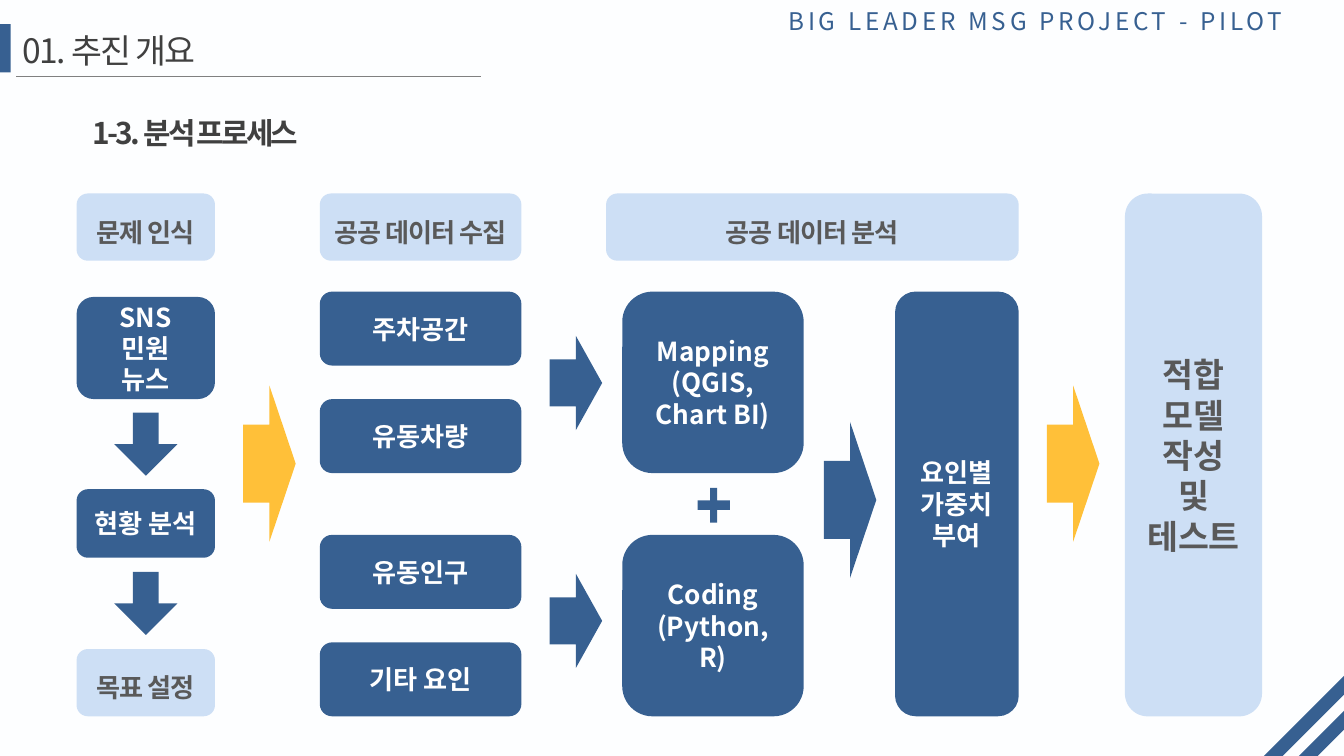
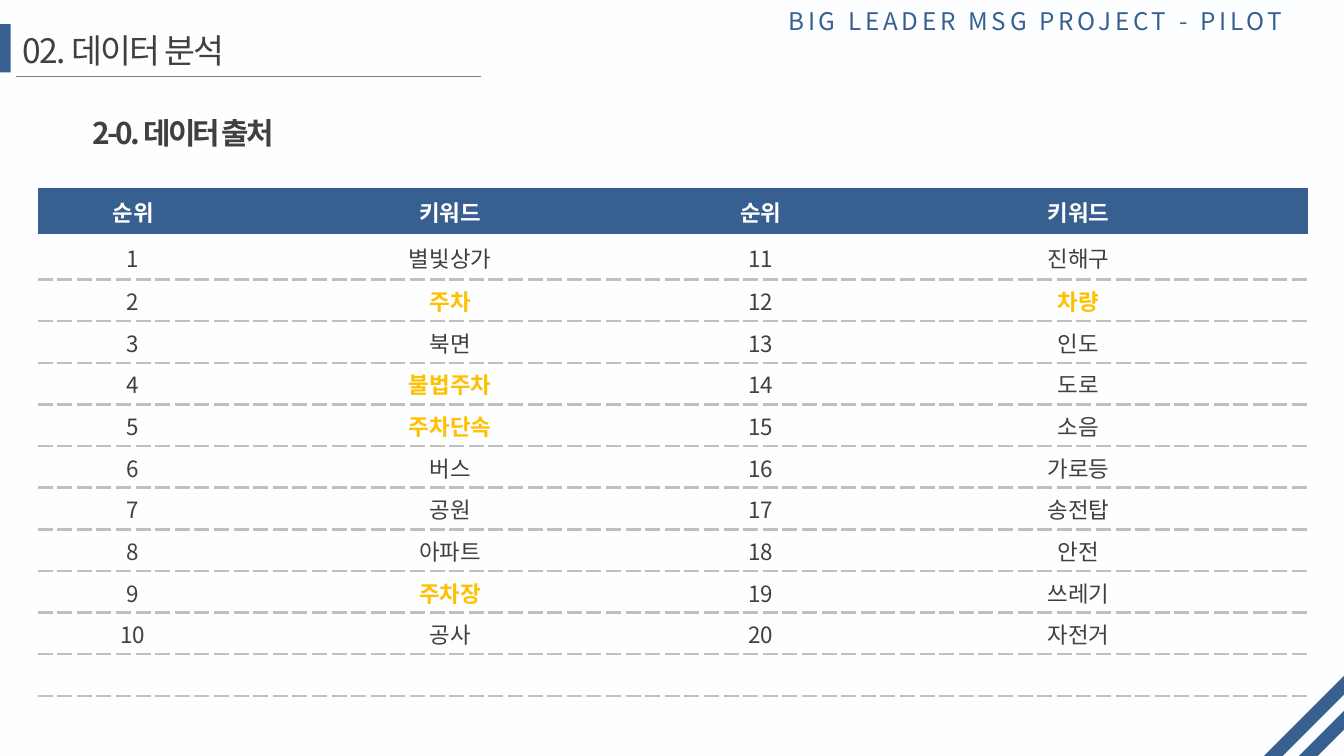
from itertools import product
from lxml import etree
from pptx import Presentation
from pptx.dml.color import RGBColor
from pptx.enum.shapes import MSO_CONNECTOR as Link, MSO_SHAPE as Form
from pptx.enum.text import MSO_ANCHOR as Anchor, PP_ALIGN as Align
from pptx.oxml.ns import qn
from pptx.util import Inches, Pt

WIDE, HIGH = 10, 10 * 9 / 16
FONT = "Noto Sans CJK KR"
BACK, BLUE, PALE, GOLD = "FDFEFF", "376091", "CDDFF5", "FFC039"
INK, GREY, RULE, DASH = "404040", "595959", "808080", "BFBFBF"
MARK, WHITE = "FFC000", "FFFFFF"
NO_STYLE = "{2D5ABB26-0587-4C30-8999-92F81FD0307C}"

BANNER = "BIG LEADER MSG PROJECT - PILOT"
FLOW = ("01. 추진 개요", "1-3. 분석 프로세스")
RANK = ("02. 데이터 분석", "2-0. 데이터 출처")

# Process grid: columns are (left, width), rows are (top, height)
ISSUE, DATA, TOOL = (0.57, 1.03), (2.38, 1.5), (4.63, 1.35)
WEIGHT, MODEL, STUDY = (6.66, 0.92), (8.37, 1.02), (4.51, 3.07)
HEAD, FOOT = (1.44, 0.5), (4.83, 0.5)
TOP, END, BLOCK, CARD = 2.17, 5.33, 1.35, 0.55
BLOCKS = (TOP, END - BLOCK)

LABELS = [
    (ISSUE, HEAD, "문제 인식"),
    (DATA, HEAD, "공공 데이터 수집"),
    (STUDY, HEAD, "공공 데이터 분석"),
    (ISSUE, FOOT, "목표 설정"),
]
STEPS = [
    (ISSUE, (2.21, 0.76), ["SNS", "민원", "뉴스"]),
    (ISSUE, (3.64, 0.51), ["현황 분석"]),
    (WEIGHT, (TOP, END - TOP), ["요인별", "가중치", "부여"]),
]
SOURCES = ["주차공간", "유동차량", "유동인구", "기타 요인"]
TOOLS = [["Mapping", "(QGIS,", "Chart BI)"], ["Coding", "(Python, R)"]]
GOAL = ["적합", "모델", "작성", "및", "테스트"]
ARROWS = [  # left, middle, height, colour
    (1.81, 3.45, 1.16, GOLD),
    (4.09, 2.85, 0.7, BLUE),
    (4.09, 4.62, 0.7, BLUE),
    (6.13, 3.72, 1.16, BLUE),
    (7.79, 3.45, 1.16, GOLD),
]

HEADS = ["순위", "키워드"] * 2
WORDS = [
    "별빛상가", "주차", "북면", "불법주차", "주차단속",
    "버스", "공원", "아파트", "주차장", "공사",
    "진해구", "차량", "인도", "도로", "소음",
    "가로등", "송전탑", "안전", "쓰레기", "자전거",
]
HOT = {"주차", "불법주차", "주차단속", "주차장", "차량"}
COLS = [1.42, 3.3, 1.32, 3.41]
ROWS = [0.34] * 2 + [0.31] * 11


def hue(code):
    return RGBColor.from_string(code)


def box(*nums):
    return [Inches(n) for n in nums]


def write(frame, lines, size, color, bold=False, gap=0, align=Align.CENTER, lead=None):
    """Put each line in its own paragraph; gap is letter spacing in points."""
    for i, line in enumerate(lines):
        para = frame.paragraphs[0] if i == 0 else frame.add_paragraph()
        para.alignment = align
        if lead:
            para.line_spacing = lead
        run = para.add_run()
        run.text = line
        font = run.font
        font.size, font.bold, font.name = Pt(size), bold, FONT
        font.color.rgb = hue(color)
        props = run._r.get_or_add_rPr()
        if gap:
            props.set("spc", str(int(gap * 100)))
        etree.SubElement(props, qn("a:ea")).set("typeface", FONT)


def note(slide, place, text, size, color, anchor=Anchor.MIDDLE, **style):
    frame = slide.shapes.add_textbox(*box(*place)).text_frame
    frame.word_wrap = True
    frame.vertical_anchor = anchor
    write(frame, [text], size, color, **style)


def draw(slide, form, place, color):
    shape = slide.shapes.add_shape(form, *box(*place))
    shape.shadow.inherit = False
    shape.fill.solid()
    shape.fill.fore_color.rgb = hue(color)
    shape.line.fill.background()
    return shape


def card(slide, col, row, lines, fill=BLUE, size=14, color=WHITE, **style):
    place = col[0], row[0], col[1], row[1]
    frame = draw(slide, Form.ROUNDED_RECTANGLE, place, fill).text_frame
    frame.word_wrap = True
    frame.vertical_anchor = Anchor.MIDDLE
    write(frame, lines, size, color, bold=True, **style)
    return frame


def start(deck, title, topic):
    """Add a slide with the shared background, bands, banner and headings."""
    slide = deck.slides.add_slide(deck.slide_layouts[6])
    back = slide.background.fill
    back.solid()
    back.fore_color.rgb = hue(BACK)
    for left, top in ((9.74, 4.6), (9.88, 4.72)):
        draw(slide, Form.RECTANGLE, (left, top, 0.1, 1.42), BLUE).rotation = 45
    draw(slide, Form.RECTANGLE, (-0.04, 0.18, 0.12, 0.36), BLUE)
    rule = slide.shapes.add_connector(Link.STRAIGHT, *box(0.12, 0.57, 3.58, 0.57))
    rule.line.color.rgb = hue(RULE)
    rule.line.width = Pt(1)
    etree.SubElement(rule._element.spPr, qn("a:effectLst"))
    note(slide, (4.92, 0, 4.72, 0.32), BANNER, 13, BLUE, Anchor.TOP,
         gap=2, align=Align.RIGHT)
    note(slide, (0.07, 0.17, 1.9, 0.4), title, 18, INK, gap=-1, align=Align.LEFT)
    note(slide, (0.59, 0.67, 3.7, 0.5), topic, 16, INK, bold=True,
         gap=-1.5, align=Align.LEFT, lead=1.5)
    return slide


def flow(deck):
    slide = start(deck, *FLOW)
    for col, row, text in LABELS:
        frame = card(slide, col, row, [text], PALE, color=GREY, gap=-0.5, lead=1.5)
        frame.margin_left = frame.margin_right = frame.margin_top = 0
    for col, row, lines in STEPS:
        card(slide, col, row, lines)
    tops = [top + skip for top, skip in product(BLOCKS, (0, BLOCK - CARD))]
    for top, text in zip(tops, SOURCES):
        card(slide, DATA, (top, CARD), [text])
    for top, lines in zip(BLOCKS, TOOLS):
        card(slide, TOOL, (top, BLOCK), lines)
    card(slide, MODEL, (HEAD[0], END - HEAD[0]), GOAL, PALE, 18, GREY)

    side = 0.47
    stack = [STEPS[0][1], STEPS[1][1], FOOT]
    for (top, high), (below, _) in zip(stack, stack[1:]):
        place = (ISSUE[0] + (ISSUE[1] - side) / 2, (top + high + below - side) / 2, side, side)
        draw(slide, Form.DOWN_ARROW, place, BLUE).adjustments[0] = 0.405
    for left, mid, high, color in ARROWS:
        draw(slide, Form.RIGHT_ARROW, (left, mid - high / 2, 0.39, high), color)
    draw(slide, Form.CROSS, (5.19, 3.63, 0.24, 0.26), BLUE).adjustments[0] = 0.394


def edge(cell, tag):
    """Give one side of a cell a dashed border."""
    line = etree.Element(qn(tag), w=str(Pt(1.5)))
    fill = etree.SubElement(line, qn("a:solidFill"))
    etree.SubElement(fill, qn("a:srgbClr")).set("val", DASH)
    etree.SubElement(line, qn("a:prstDash")).set("val", "sysDash")
    cell._tc.get_or_add_tcPr().insert(0, line)


def rank(deck):
    slide = start(deck, *RANK)
    half = len(WORDS) // 2
    grid = [HEADS] + [
        [str(i + 1), WORDS[i], str(i + half + 1), WORDS[i + half]] for i in range(half)
    ]
    grid += [[""] * len(COLS)] * (len(ROWS) - len(grid))
    place = box(0.28, 1.4, sum(COLS), sum(ROWS))
    table = slide.shapes.add_table(len(ROWS), len(COLS), *place).table
    table.horz_banding = table.first_row = False
    table._tbl.tblPr.find(qn("a:tableStyleId")).text = NO_STYLE
    for col, wide in zip(table.columns, COLS):
        col.width = Inches(wide)
    for row, high in zip(table.rows, ROWS):
        row.height = Inches(high)
    last = len(ROWS) - 1
    for r, c in product(range(len(ROWS)), range(len(COLS))):
        cell, text = table.cell(r, c), grid[r][c]
        cell.vertical_anchor = Anchor.MIDDLE
        cell.margin_left = cell.margin_right = cell.margin_top = Inches(0.01)
        cell.margin_bottom = 0
        if r == 0:
            cell.fill.solid()
            cell.fill.fore_color.rgb = hue(BLUE)
        else:
            cell.fill.background()
        if text:
            color = WHITE if r == 0 else MARK if text in HOT else INK
            write(cell.text_frame, [text], 12, color, bold=color != INK)
        else:
            para = cell.text_frame.paragraphs[0]._p
            etree.SubElement(para, qn("a:endParaRPr")).set("sz", "1200")
        if 0 < r < last:
            edge(cell, "a:lnB")
        if r > 1:
            edge(cell, "a:lnT")


def main():
    deck = Presentation()
    deck.slide_width, deck.slide_height = box(WIDE, HIGH)
    flow(deck)
    rank(deck)
    deck.save("out.pptx")


if __name__ == "__main__":
    main()
